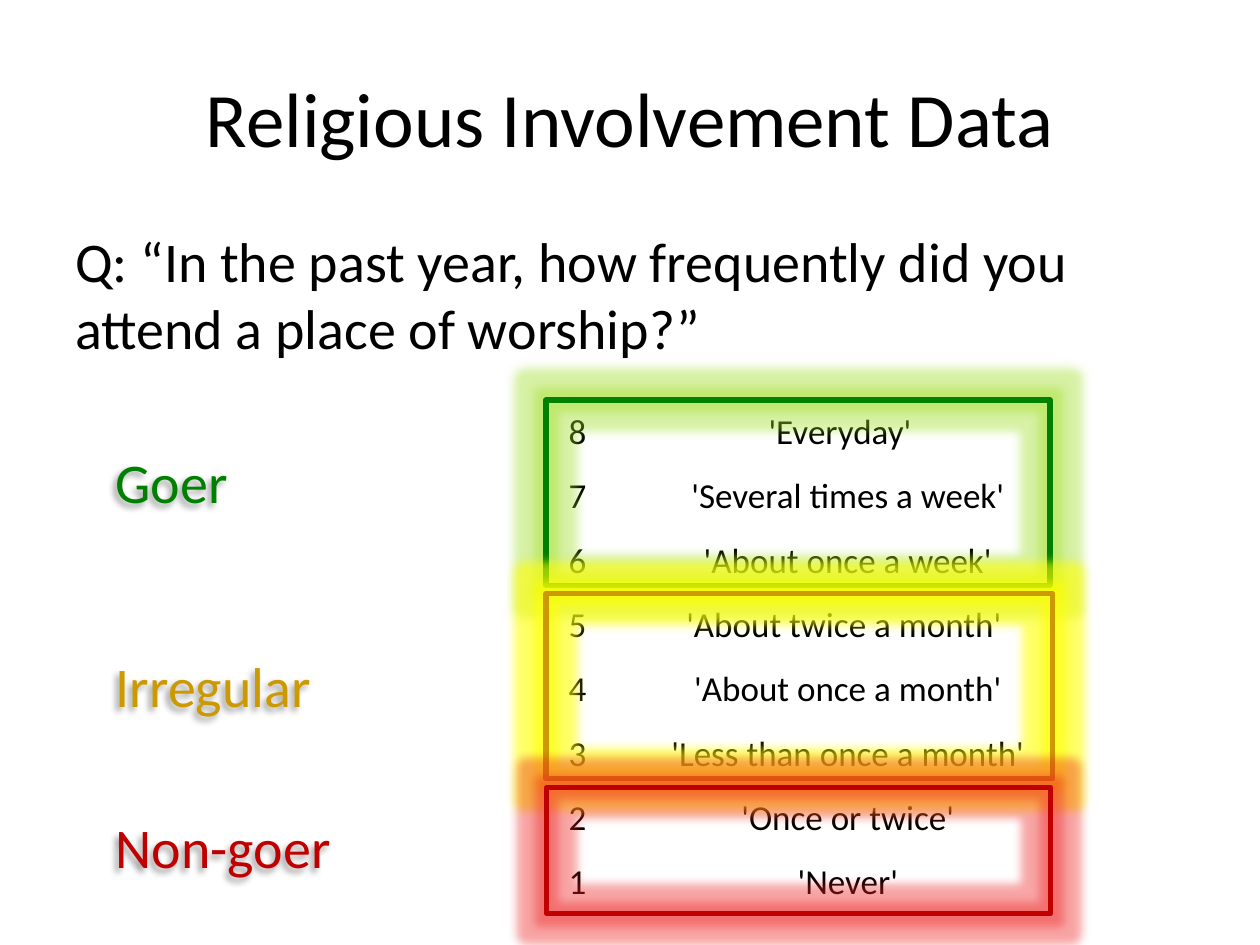
from lxml import etree
from pptx import Presentation
from pptx.dml.color import RGBColor
from pptx.enum.shapes import MSO_SHAPE
from pptx.enum.text import MSO_ANCHOR, PP_ALIGN
from pptx.oxml import parse_xml
from pptx.oxml.ns import nsdecls
from pptx.util import Pt

CENTER, LEFT = PP_ALIGN.CENTER, PP_ALIGN.LEFT
MIDDLE, TOP = MSO_ANCHOR.MIDDLE, MSO_ANCHOR.TOP
RECTANGLE = MSO_SHAPE.RECTANGLE
FONT = "Calibri"
TITLE_ONLY = 5

COLORS = {
    "text": "000000", "white": "FFFFFF",
    "goer": "008000", "irregular": "CC9900", "non_goer": "C00000",
    "goer_glow": "9BDD1E", "irregular_glow": "FFFF00", "non_goer_glow": "EE2020",
}

# Answer text and the indent that shifts it right of the column centre
ANSWERS = [
    ("8", "'Everyday'", 0),
    ("7", "'Several times a week'", 9),
    ("6", "'About once a week'", 9),
    ("5", "'About twice a month'", 4.5),
    ("4", "'About once a month'", 9),
    ("3", "'Less than once a month'", 9),
    ("2", "'Once or twice'", 9),
    ("1", "'Never'", 9),
]

# Name, colour key, label top, frame box, glow opacity in percent
GROUPS = [
    ("Goer", "goer", 252, (312, 228.5, 288, 106), 40),
    ("Irregular", "irregular", 368.6, (312, 339, 289.5, 106), 60),
    ("Non-goer", "non_goer", 460.8, (312.5, 450, 288, 72), 40),
]


def rgb(key):
    return RGBColor.from_string(COLORS[key])


def write_text(frame, text, size=32, color="text", align=LEFT, anchor=TOP):
    frame.word_wrap = True
    frame.vertical_anchor = anchor
    paragraph = frame.paragraphs[0]
    paragraph.text = text
    paragraph.alignment = align
    paragraph.space_before = Pt(0)
    font = paragraph.runs[0].font
    font.name, font.size = FONT, Pt(size)
    font.color.rgb = rgb(color)


def add_text(slide, box, text, **text_format):
    shape = slide.shapes.add_textbox(*map(Pt, box))
    write_text(shape.text_frame, text, **text_format)
    return shape


def add_effect(shape, name, color, alpha, **lengths):
    """Give a shape one effect, such as a glow or an outer shadow."""
    properties = shape.element.spPr
    for old in properties.findall("{*}effectLst"):
        properties.remove(old)
    attributes = " ".join(f'{key}="{value}"' for key, value in lengths.items())
    properties.append(parse_xml(
        f'<a:effectLst {nsdecls("a")}><a:{name} {attributes}>'
        f'<a:srgbClr val="{COLORS[color]}"><a:alpha val="{alpha * 1000}"/>'
        f'</a:srgbClr></a:{name}></a:effectLst>'))


def set_borders(cell, color, width):
    properties = cell._tc.get_or_add_tcPr()
    for index, side in enumerate(("lnL", "lnR", "lnT", "lnB")):
        border = parse_xml(
            f'<a:{side} {nsdecls("a")} w="{Pt(width)}"><a:solidFill>'
            f'<a:srgbClr val="{COLORS[color]}"/></a:solidFill></a:{side}>')
        properties.insert(index, border)


def place_title(slide, box, text):
    title = slide.shapes.title
    title.left, title.top, title.width, title.height = map(Pt, box)
    write_text(title.text_frame, text, size=44, align=CENTER, anchor=MIDDLE)


def add_answer_table(slide, box, first_width):
    left, top, width, height = box
    table = slide.shapes.add_table(len(ANSWERS), 2, *map(Pt, box)).table
    table.first_row = table.horz_banding = False
    table.columns[0].width = Pt(first_width)
    table.columns[1].width = Pt(width - first_width)
    for row, (code, answer, indent) in enumerate(ANSWERS):
        table.rows[row].height = Pt(height / len(ANSWERS))
        for column, (text, shift) in enumerate(((code, 0), (answer, indent))):
            cell = table.cell(row, column)
            cell.margin_left = Pt(0.75 + shift)
            cell.margin_right = cell.margin_top = Pt(0.75)
            cell.margin_bottom = Pt(0)
            cell.fill.solid()
            cell.fill.fore_color.rgb = rgb("white")
            set_borders(cell, "white", 1)
            write_text(cell.text_frame, text, size=20, align=CENTER)
            cell.vertical_anchor = MIDDLE


def add_frame(slide, box, color, glow_alpha):
    frame = slide.shapes.add_shape(RECTANGLE, *map(Pt, box))
    frame.fill.background()
    frame.line.color.rgb = rgb(color)
    frame.line.width = Pt(3)
    add_effect(frame, "glow", color + "_glow", glow_alpha, rad=Pt(11))


def add_label(slide, box, text, color):
    label = add_text(slide, box, text, color=color)
    add_effect(label, "outerShdw", "text", 40, blurRad=Pt(4), dist=Pt(3),
               dir=135 * 60000, algn="tr", rotWithShape=0)


def main():
    presentation = Presentation()
    presentation.slide_width, presentation.slide_height = Pt(720), Pt(540)
    slide = presentation.slides.add_slide(presentation.slide_layouts[TITLE_ONLY])

    # Title and survey question
    place_title(slide, (36, 21.6, 648, 90), "Religious Involvement Data")
    add_text(slide, (36, 126, 648, 90),
             "Q: “In the past year, how frequently did you "
             "attend a place of worship?”")

    # Answers, framed by group
    add_answer_table(slide, (288, 228.5, 300, 294), 84)
    for name, color, label_top, frame_box, glow_alpha in GROUPS:
        add_frame(slide, frame_box, color, glow_alpha)
    for name, color, label_top, frame_box, glow_alpha in GROUPS:
        add_label(slide, (59, label_top, 186, 46), name, color)

    presentation.save("out.pptx")


if __name__ == "__main__":
    main()
